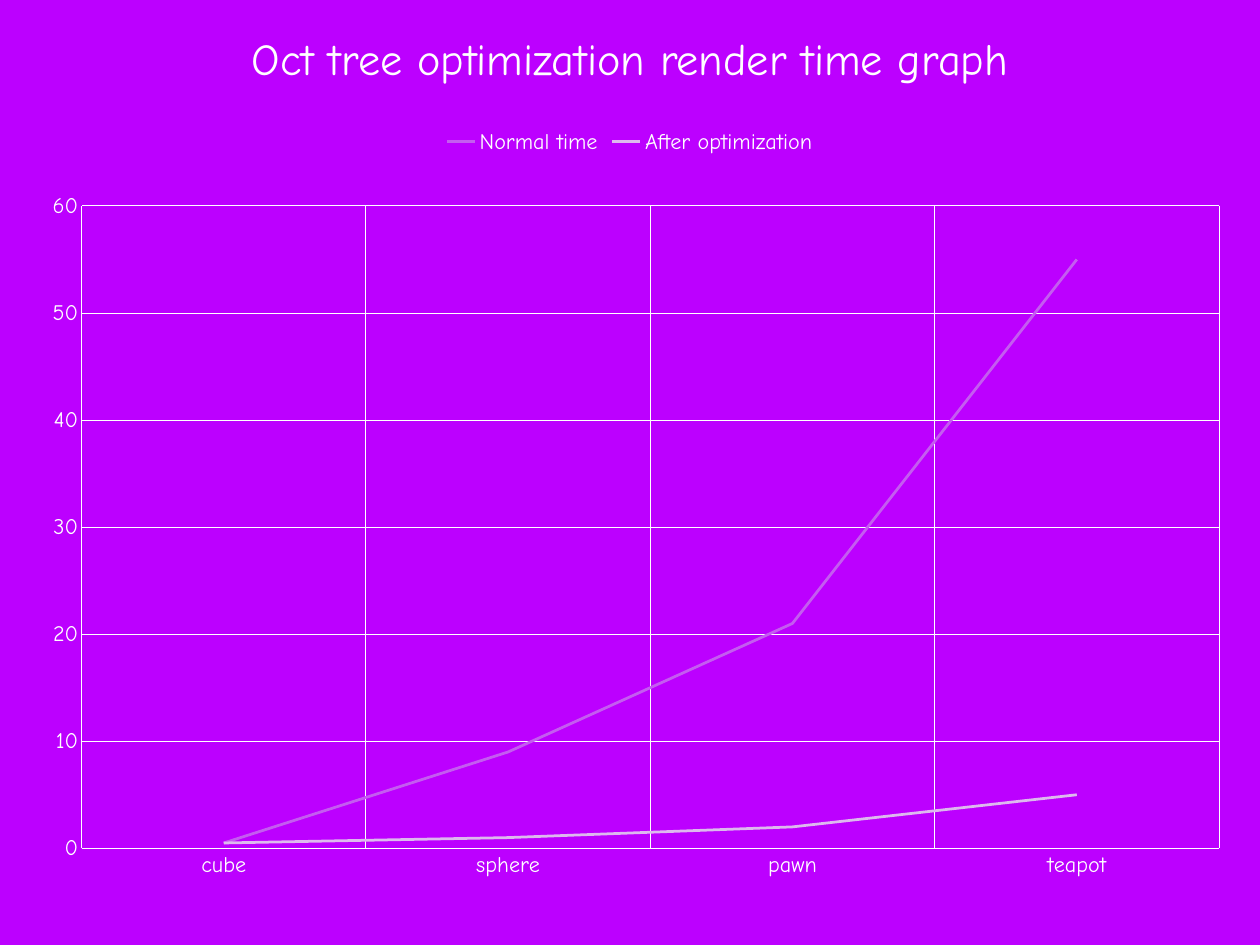
from dataclasses import dataclass

from lxml.etree import SubElement
from pptx import Presentation
from pptx.chart.axis import CategoryAxis, ValueAxis
from pptx.chart.chart import Chart
from pptx.chart.data import CategoryChartData
from pptx.dml.color import RGBColor
from pptx.dml.line import LineFormat
from pptx.enum.chart import XL_CHART_TYPE, XL_LEGEND_POSITION, XL_TICK_MARK
from pptx.enum.text import MSO_ANCHOR, PP_ALIGN
from pptx.oxml import parse_xml
from pptx.oxml.ns import nsdecls, qn
from pptx.slide import Slide
from pptx.text.text import Font
from pptx.util import Cm, Pt

FONT_NAME = "Comic Neue"
WHITE = "FFFFFF"
PURPLE = "BC00FF"


@dataclass(frozen=True)
class RenderTime:
    """One line of render times."""

    name: str
    values: tuple[float, ...]
    color: str


MODELS = ("cube", "sphere", "pawn", "teapot")
RENDER_TIMES = (
    RenderTime("Normal time", (0.5, 9, 21, 55), "C45CF0"),
    RenderTime("After optimization", (0.5, 1, 2, 5), "DDB8EE"),
)
PLOT_FRACTIONS = {"x": 0.036, "y": 0.116, "w": 0.963, "h": 0.846}


def rgb(color: str) -> RGBColor:
    """Turn a hex string into a colour."""
    return RGBColor.from_string(color)


def style_font(font: Font, size: float) -> None:
    """Apply the slide's white lettering."""
    font.name = FONT_NAME
    font.size = Pt(size)
    font.bold = False
    font.color.rgb = rgb(WHITE)


def style_line(line: LineFormat, color: str, width: float) -> None:
    """Set the colour and width of a line."""
    line.color.rgb = rgb(color)
    line.width = Pt(width)


def style_axis(axis: CategoryAxis | ValueAxis) -> None:
    """Give an axis a white grid and no tick marks."""
    axis.has_major_gridlines = True
    axis.major_tick_mark = XL_TICK_MARK.NONE
    axis.minor_tick_mark = XL_TICK_MARK.NONE
    style_line(axis.major_gridlines.format.line, WHITE, 0.75)
    style_line(axis.format.line, WHITE, 0.75)
    style_font(axis.tick_labels.font, 18)


def place_plot(chart: Chart) -> None:
    """Fix the inner plot area and centre points between grid lines."""
    plot_area = chart.element.find(f".//{qn('c:plotArea')}")
    for layout in plot_area.findall(qn("c:layout")):
        plot_area.remove(layout)
    layout = parse_xml(f"<c:layout {nsdecls('c')}/>")
    manual = SubElement(layout, qn("c:manualLayout"))
    settings = {"layoutTarget": "inner", "xMode": "edge", "yMode": "edge"}
    for tag, value in (settings | PLOT_FRACTIONS).items():
        SubElement(manual, qn(f"c:{tag}")).set("val", str(value))
    plot_area.insert(0, layout)
    value_axis = plot_area.find(qn("c:valAx"))
    if value_axis.find(qn("c:crossBetween")) is None:
        crossing = parse_xml(f'<c:crossBetween {nsdecls("c")} val="between"/>')
        value_axis.find(qn("c:crosses")).addnext(crossing)


def add_title(slide: Slide) -> None:
    """Fill and format the title placeholder."""
    title = slide.shapes.title
    title.left, title.top, title.width, title.height = Cm(0), Cm(0.56), Cm(36.12), Cm(2.18)
    frame = title.text_frame
    frame.margin_left = frame.margin_top = frame.margin_right = frame.margin_bottom = 0
    frame.vertical_anchor = MSO_ANCHOR.MIDDLE
    frame.word_wrap = True
    paragraph = frame.paragraphs[0]
    paragraph.text = "Oct tree optimization render time graph"
    paragraph.alignment = PP_ALIGN.CENTER
    style_font(paragraph.font, 36)


def add_render_chart(slide: Slide) -> None:
    """Draw the line chart of render times."""
    data = CategoryChartData()
    data.categories = MODELS
    for render_time in RENDER_TIMES:
        data.add_series(render_time.name, render_time.values)
    chart = slide.shapes.add_chart(
        XL_CHART_TYPE.LINE, Cm(1.12), Cm(3.38), Cm(33.86), Cm(21.79), data
    ).chart
    style_font(chart.font, 18)
    chart.has_title = False
    chart.has_legend = True
    chart.legend.position = XL_LEGEND_POSITION.TOP
    chart.legend.include_in_layout = False
    style_font(chart.legend.font, 18)
    chart.plots[0].vary_by_categories = False
    for series, render_time in zip(chart.plots[0].series, RENDER_TIMES):
        series.smooth = False
        style_line(series.format.line, render_time.color, 2.25)
    style_axis(chart.category_axis)
    style_axis(chart.value_axis)
    chart.value_axis.minimum_scale = 0
    chart.value_axis.maximum_scale = 60
    chart.value_axis.major_unit = 10
    place_plot(chart)


def main() -> None:
    """Build and save the slide."""
    presentation = Presentation()
    presentation.slide_width = Cm(36.12)
    presentation.slide_height = Cm(27.1)
    slide = presentation.slides.add_slide(presentation.slide_layouts[5])
    slide.background.fill.solid()
    slide.background.fill.fore_color.rgb = rgb(PURPLE)
    add_title(slide)
    add_render_chart(slide)
    presentation.save("out.pptx")


if __name__ == "__main__":
    main()
